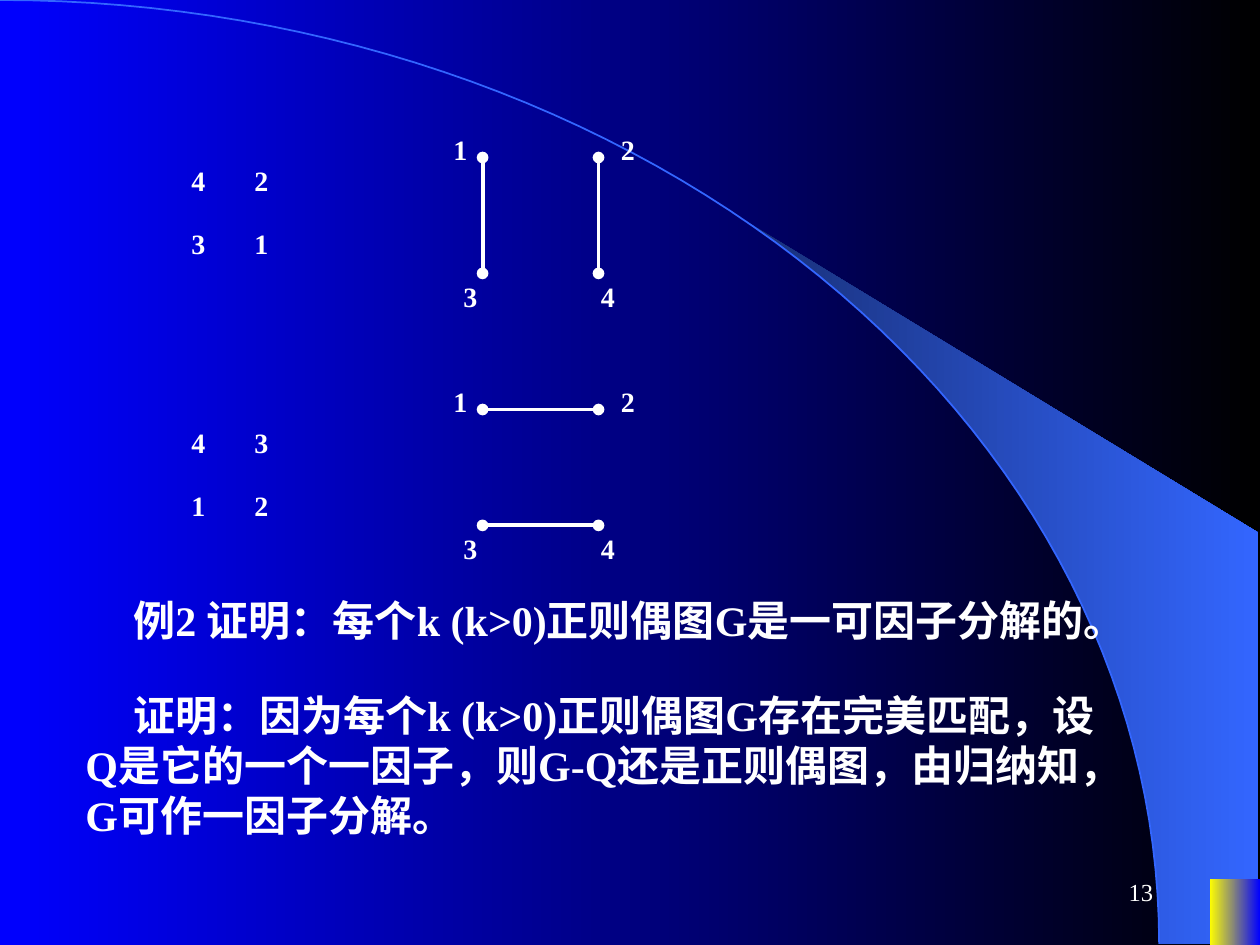
import math
from dataclasses import dataclass

from lxml import etree
from pptx import Presentation
from pptx.dml.color import RGBColor
from pptx.enum.shapes import MSO_CONNECTOR, MSO_SHAPE
from pptx.enum.text import MSO_ANCHOR, PP_ALIGN
from pptx.oxml.ns import qn
from pptx.util import Inches, Pt

STRAIGHT = MSO_CONNECTOR.STRAIGHT
RECTANGLE = MSO_SHAPE.RECTANGLE
LEFT, RIGHT = PP_ALIGN.LEFT, PP_ALIGN.RIGHT
TOP, MIDDLE = MSO_ANCHOR.TOP, MSO_ANCHOR.MIDDLE


@dataclass(frozen=True)
class Theme:
    font: str = "Times New Roman"
    white: str = "FFFFFF"
    black: str = "000000"
    blue: str = "0000FF"
    yellow: str = "FFFF00"
    navy: str = "182F76"
    arc: str = "3366FF"
    number_size: int = 14
    label_size: int = 16
    body_size: int = 24


theme = Theme()


def set_gradient(fill, first, last):
    """Fill from left to right between two colours."""
    fill.gradient()
    fill.gradient_angle = 0
    for stop, color in zip(fill.gradient_stops, (first, last)):
        stop.color.rgb = RGBColor.from_string(color)


def add_text(text, left, top, width, height, size, bold=True, indent=0,
             align=LEFT, anchor=TOP):
    box = page.shapes.add_textbox(Inches(left), Inches(top), Inches(width), Inches(height))
    frame = box.text_frame
    frame.word_wrap = True
    frame.vertical_anchor = anchor
    para = frame.paragraphs[0]
    para.text = text
    para.alignment = align
    para._p.get_or_add_pPr().set("indent", str(Inches(indent)))
    para.font.name = theme.font
    para.font.size = Pt(size)
    para.font.bold = bold
    para.font.color.rgb = RGBColor.from_string(theme.white)


deck = Presentation()
deck.slide_width, deck.slide_height = Inches(10), Inches(7.5)
page = deck.slides.add_slide(deck.slide_layouts[6])
set_gradient(page.background.fill, theme.blue, theme.black)

# Quarter ellipse, and the wedge between it and the right edge
RADIUS_X, RADIUS_Y, STEPS = 9.2, 7.49, 60
WEDGE_LEFT, WEDGE_RIGHT, WEDGE_CORNER = 5.89, 9.99, 4.23
curves = []
for start in (math.asin(WEDGE_LEFT / RADIUS_X), 0):
    angles = [start + (math.pi / 2 - start) * step / STEPS for step in range(STEPS + 1)]
    curves.append([(Inches(RADIUS_X * math.sin(angle)),
                    Inches(RADIUS_Y * (1 - math.cos(angle)))) for angle in angles])
wedge_points, arc_points = curves
wedge_points += [(Inches(WEDGE_RIGHT), Inches(y)) for y in (RADIUS_Y, WEDGE_CORNER)]

for points, closed in ((wedge_points, True), (arc_points, False)):
    builder = page.shapes.build_freeform(*points[0])
    builder.add_line_segments(points[1:], close=closed)
    shape = builder.convert_to_shape()
    shape.shadow.inherit = False
    if closed:
        set_gradient(shape.fill, theme.navy, theme.arc)
        shape.line.fill.background()
    else:
        shape.fill.background()
        shape.line.color.rgb = RGBColor.from_string(theme.arc)
        shape.line.width = Pt(1)

corner = page.shapes.add_shape(RECTANGLE, Inches(9.6), Inches(6.98), Inches(0.4), Inches(0.52))
corner.shadow.inherit = False
set_gradient(corner.fill, theme.yellow, theme.blue)
corner.line.fill.background()

add_text("13", 7.17, 6.83, 2.08, 0.5, theme.number_size, bold=False,
         align=RIGHT, anchor=MIDDLE)

# Each factor: graph top, its two edges, number square top and its digits by row
NODE_X, SIDE = 3.83, 0.92
VERTICES = {"1": (0, 0), "2": (SIDE, 0), "3": (0, SIDE), "4": (SIDE, SIDE)}
LABEL_OFFSETS = {"1": (-0.33, -0.25), "2": (0.08, -0.25), "3": (-0.25, 0), "4": (-0.08, 0)}
SQUARE_LEFT, SQUARE_STEP = 1.42, 0.5
factors = [
    (1.25, ("13", "24"), 1.25, ("42", "31")),
    (3.25, ("12", "34"), 3.33, ("43", "12")),
]
for graph_top, edges, square_top, rows in factors:
    for edge in edges:
        ends = []
        for vertex in edge:
            x, y = VERTICES[vertex]
            ends += [Inches(NODE_X + x), Inches(graph_top + y)]
        line = page.shapes.add_connector(STRAIGHT, *ends)
        line.line.color.rgb = RGBColor.from_string(theme.white)
        line.line.width = Pt(2.25)
        outline = line.line._get_or_add_ln()
        for end in ("a:headEnd", "a:tailEnd"):
            etree.SubElement(outline, qn(end), type="oval")
        etree.SubElement(line._element.spPr, qn("a:effectLst"))

    labels = []
    for vertex, (x, y) in VERTICES.items():
        shift_x, shift_y = LABEL_OFFSETS[vertex]
        labels.append((vertex, NODE_X + x + shift_x, graph_top + y + shift_y))
    for row, digits in enumerate(rows):
        for column, digit in enumerate(digits):
            labels.append((digit, SQUARE_LEFT + column * SQUARE_STEP,
                           square_top + row * SQUARE_STEP))
    for digit, left, top in labels:
        add_text(digit, left, top, 0.43, 0.37, theme.label_size)

add_text("例2 证明：每个k (k>0)正则偶图G是一可因子分解的。",
         0.58, 4.67, 9.08, 0.5, theme.body_size, indent=0.38)
add_text("证明：因为每个k (k>0)正则偶图G存在完美匹配，设Q是它的一个一因子，"
         "则G-Q还是正则偶图，由归纳知，G可作一因子分解。",
         0.58, 5.42, 8.33, 1.3, theme.body_size, indent=0.38)

deck.save("out.pptx")
